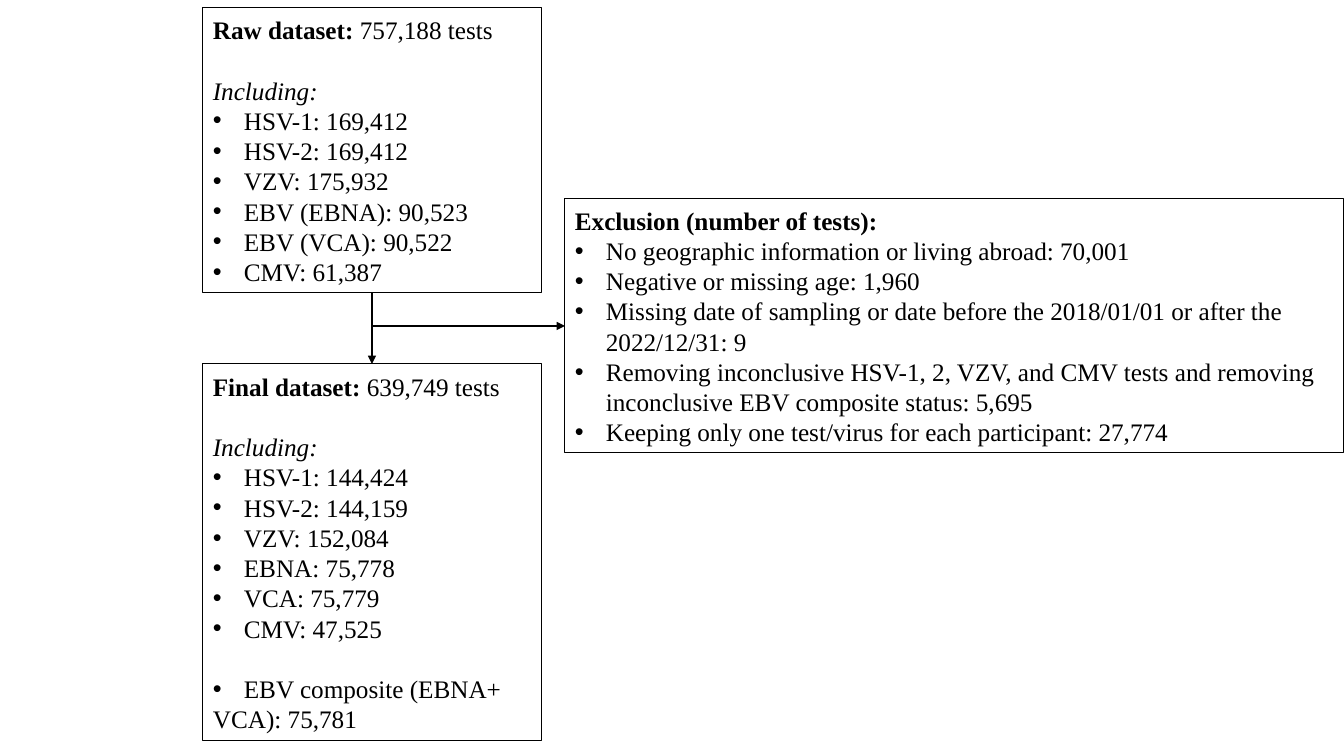
from lxml.etree import SubElement
from pptx import Presentation
from pptx.dml.color import RGBColor
from pptx.enum.shapes import MSO_CONNECTOR, MSO_SHAPE
from pptx.enum.text import MSO_ANCHOR, PP_ALIGN
from pptx.oxml.ns import qn
from pptx.util import Emu, Pt

BLACK = RGBColor(0, 0, 0)
FONT = "Times New Roman"
SIZE = 18
LINE = 21.6
SLIDE_W, SLIDE_H = 1344, 756
INDENT = 31

RAW_BOX = (203, 8, 339, 285)
EXCLUSION_BOX = (565, 199, 779, 254)
FINAL_BOX = (203, 364, 339, 377)

RAW = [
    "HSV-1: 169,412",
    "HSV-2: 169,412",
    "VZV: 175,932",
    "EBV (EBNA): 90,523",
    "EBV (VCA): 90,522",
    "CMV: 61,387",
]
EXCLUSIONS = [
    "No geographic information or living abroad: 70,001",
    "Negative or missing age: 1,960",
    "Missing date of sampling or date before the 2018/01/01 or after the 2022/12/31: 9",
    "Removing inconclusive HSV-1, 2, VZV, and CMV tests and removing inconclusive EBV composite status: 5,695",
    "Keeping only one test/virus for each participant: 27,774",
]
FINAL = [
    "HSV-1: 144,424",
    "HSV-2: 144,159",
    "VZV: 152,084",
    "EBNA: 75,778",
    "VCA: 75,779",
    "CMV: 47,525",
]
COMPOSITE = ("EBV composite (EBNA+", "VCA): 75,781")


def px(n):
    return Emu(round(n * 914400 / 100.8))


def add_box(slide, box):
    sp = slide.shapes.add_shape(MSO_SHAPE.RECTANGLE, *map(px, box))
    sp.shadow.inherit = False
    sp.fill.background()
    sp.line.color.rgb = BLACK
    sp.line.width = Pt(0.75)
    tf = sp.text_frame
    tf.word_wrap = True
    tf.vertical_anchor = MSO_ANCHOR.MIDDLE
    return tf


def add_text(tf, text, bold=False, italic=False, bullet=False, gap=False, tail=""):
    p = tf.paragraphs[0]
    if p.runs:
        p = tf.add_paragraph()
    p.alignment = PP_ALIGN.LEFT
    p.line_spacing = Pt(LINE)
    p.space_before = Pt(LINE if gap else 0)
    for part, heavy in ((text, bold), (tail, False)):
        if part:
            r = p.add_run()
            r.text = part
            r.font.name = FONT
            r.font.size = Pt(SIZE)
            r.font.color.rgb = BLACK
            r.font.bold = heavy
            r.font.italic = italic
    if bullet:
        pPr = p._p.get_or_add_pPr()
        pPr.set("marL", str(px(INDENT)))
        pPr.set("indent", str(-px(INDENT)))
        SubElement(pPr, qn("a:buFont")).set("typeface", "Arial")
        SubElement(pPr, qn("a:buChar")).set("char", "•")


def add_dataset(slide, box, title, total, counts):
    tf = add_box(slide, box)
    add_text(tf, title, bold=True, tail=total)
    add_text(tf, "Including:", italic=True, gap=True)
    for count in counts:
        add_text(tf, count, bullet=True)
    return tf


def add_arrow(slide, x1, y1, x2, y2):
    cn = slide.shapes.add_connector(MSO_CONNECTOR.STRAIGHT, *map(px, (x1, y1, x2, y2)))
    cn.line.color.rgb = BLACK
    cn.line.width = Pt(1.5)
    SubElement(cn.line._get_or_add_ln(), qn("a:tailEnd")).set("type", "triangle")
    SubElement(cn._element.spPr, qn("a:effectLst"))


def main():
    prs = Presentation()
    prs.slide_width, prs.slide_height = px(SLIDE_W), px(SLIDE_H)
    slide = prs.slides.add_slide(prs.slide_layouts[6])

    add_dataset(slide, RAW_BOX, "Raw dataset: ", "757,188 tests", RAW)

    tf = add_box(slide, EXCLUSION_BOX)
    add_text(tf, "Exclusion (number of tests):", bold=True)
    for reason in EXCLUSIONS:
        add_text(tf, reason, bullet=True)

    tf = add_dataset(slide, FINAL_BOX, "Final dataset: ", "639,749 tests", FINAL)
    add_text(tf, COMPOSITE[0], bullet=True, gap=True)
    add_text(tf, COMPOSITE[1])

    left, top, width, height = RAW_BOX
    center = left + width // 2
    middle = EXCLUSION_BOX[1] + EXCLUSION_BOX[3] // 2
    add_arrow(slide, center, top + height, center, FINAL_BOX[1])
    add_arrow(slide, center, middle, EXCLUSION_BOX[0], middle)

    prs.save("out.pptx")


if __name__ == "__main__":
    main()
